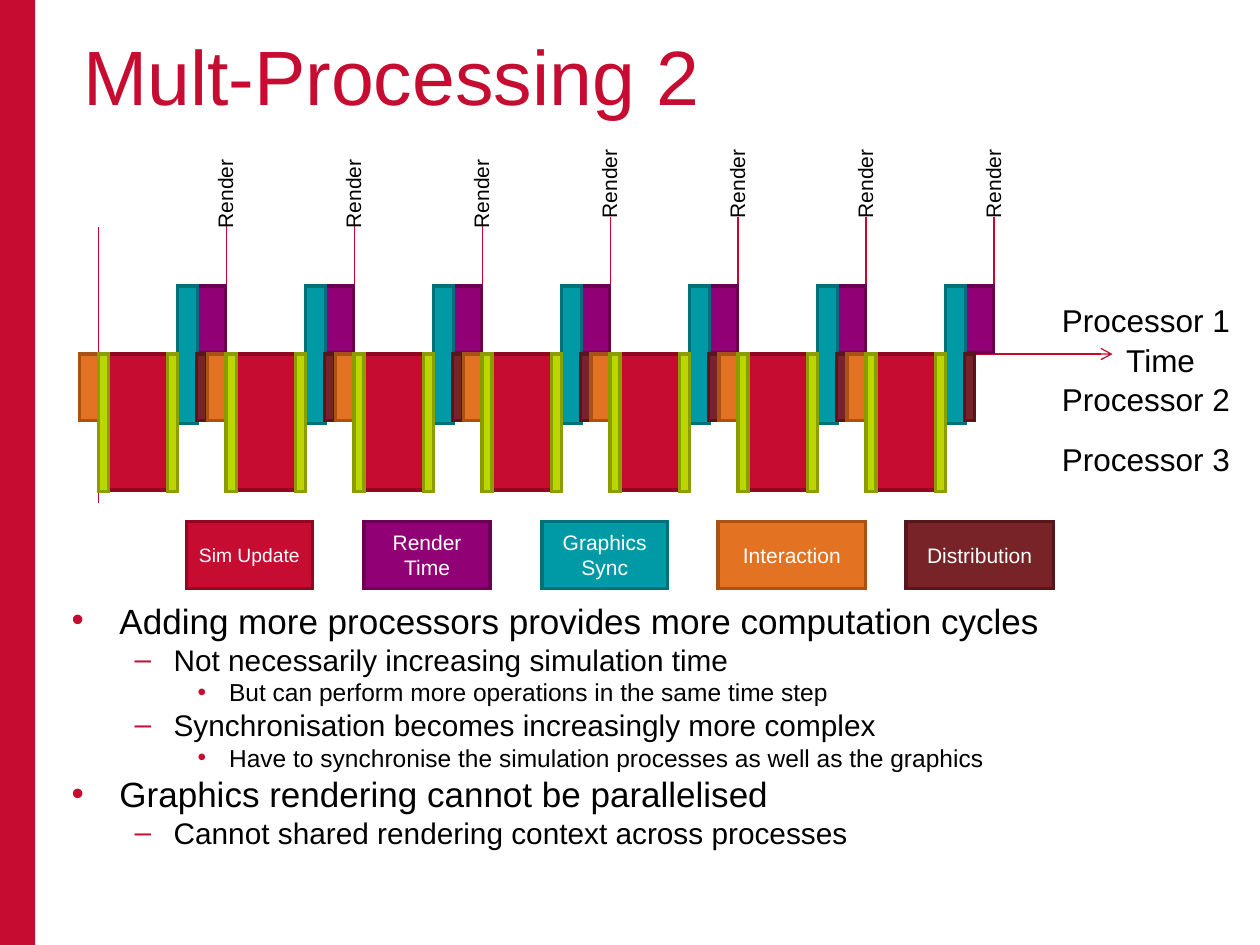
from lxml import etree
from pptx import Presentation
from pptx import util as u
from pptx.dml.color import RGBColor
from pptx.enum import shapes, text
from pptx.oxml.ns import qn

RED = "C60C30"
LINE_RED = "C6072C"
BLACK = "000000"
WHITE = "FFFFFF"
SIMULATION = (RED, "910620")
RENDER = ("920075", "6A0054")
GRAPHICS_SYNC = ("009AA6", "007079")
INTERACTION = ("E37222", "A75216")
DISTRIBUTION = ("782327", "56171A")
LOCK = ("BED600", "8B9D00")

CYCLES = 7
PITCH = 7.11 / CYCLES
START = 0.78
AXIS = 2.81

# Offset from the start of a cycle, top, width, height, colours
CYCLE_BARS = [
    (0.08, AXIS, 0.47, 1.08, SIMULATION),
    (0.78, 2.27, 0.23, 0.53, RENDER),
    (0.63, 2.27, 0.16, 1.09, GRAPHICS_SYNC),
    (-0.15, AXIS, 0.16, 0.53, INTERACTION),
    (0.78, AXIS, 0.08, 0.53, DISTRIBUTION),
    (0.55, AXIS, 0.08, 1.09, LOCK),
    (0, AXIS, 0.08, 1.09, LOCK),
]
LEGEND = [
    (1.48, 1, "Sim Update", 11, SIMULATION),
    (2.89, 1, "Render Time", 12, RENDER),
    (4.3, 1, "Graphics\nSync", 12, GRAPHICS_SYNC),
    (5.7, 1.17, "Interaction", 12, INTERACTION),
    (7.19, 1.17, "Distribution", 12, DISTRIBUTION),
]
AXIS_LABELS = [
    (8.84, 2.66, 0.8, "Time"),
    (8.33, 2.34, 1.6, "Processor 1"),
    (8.33, 2.97, 1.6, "Processor 2"),
    (8.33, 3.44, 1.6, "Processor 3"),
]
# Left margin, indent, space before, size, bullet
LEVELS = [
    (0.38, -0.38, 5, 20, "•"),
    (0.81, -0.31, 4.2, 17, "–"),
    (1.25, -0.25, 3.5, 14, "•"),
]
POINTS = [
    (0, "Adding more processors provides more computation cycles"),
    (1, "Not necessarily increasing simulation time"),
    (2, "But can perform more operations in the same time step"),
    (1, "Synchronisation becomes increasingly more complex"),
    (2, "Have to synchronise the simulation processes as well as the graphics"),
    (0, "Graphics rendering cannot be parallelised"),
    (1, "Cannot shared rendering context across processes"),
]


def rgb(value):
    """Turn a hex string into a colour."""
    return RGBColor.from_string(value)


def inches(*values):
    """Turn numbers into lengths."""
    return [u.Inches(value) for value in values]


def format_runs(paragraph, size, colour):
    """Set the font of every run of a paragraph."""
    for run in paragraph.runs:
        run.font.size = u.Pt(size)
        run.font.name = "Arial"
        run.font.color.rgb = rgb(colour)


def format_text(text_frame, size, colour, alignment=text.PP_ALIGN.LEFT):
    """Format every paragraph of a text frame."""
    for paragraph in text_frame.paragraphs:
        paragraph.alignment = alignment
        format_runs(paragraph, size, colour)


def add_box(slide, left, top, width, height, fill, outline=None):
    """Add a filled rectangle with an optional sharp-cornered outline."""
    shape = slide.shapes.add_shape(
        shapes.MSO_SHAPE.RECTANGLE, *inches(left, top, width, height))
    shape.shadow.inherit = False
    shape.fill.solid()
    shape.fill.fore_color.rgb = rgb(fill)
    if outline:
        shape.line.color.rgb = rgb(outline)
        shape.line.width = u.Pt(2)
        etree.SubElement(shape.line._get_or_add_ln(), qn("a:miter"), lim="800000")
    else:
        shape.line.fill.background()
    return shape


def add_line(slide, start, end, arrow=False):
    """Add a thin red line, with an arrowhead at its end if asked."""
    connector = slide.shapes.add_connector(
        shapes.MSO_CONNECTOR.STRAIGHT, *inches(*start, *end))
    connector.line.color.rgb = rgb(LINE_RED)
    connector.line.width = u.Pt(0.75)
    if arrow:
        line = connector.line._get_or_add_ln()
        etree.SubElement(line, qn("a:tailEnd"), type="arrow")
    etree.SubElement(connector._element.spPr, qn("a:effectLst"))


def add_label(slide, left, top, width, height, words, size, rotation=0):
    """Add a single line of black text."""
    shape = slide.shapes.add_textbox(*inches(left, top, width, height))
    shape.rotation = rotation
    shape.text_frame.word_wrap = False
    shape.text_frame.text = words
    format_text(shape.text_frame, size, BLACK)


def add_title(slide, words):
    """Place and format the title."""
    title = slide.shapes.title
    title.left, title.top, title.width, title.height = inches(0.56, 0.18, 8.94, 1.61)
    title.text_frame.text = words
    title.text_frame.vertical_anchor = text.MSO_ANCHOR.TOP
    title.text_frame.auto_size = text.MSO_AUTO_SIZE.NONE
    format_text(title.text_frame, 44, RED)


def add_points(slide):
    """Add the bulleted text."""
    shape = slide.shapes.add_textbox(*inches(0.47, 4.77, 9, 2.21))
    text_frame = shape.text_frame
    text_frame.word_wrap = True
    text_frame.text = "\n".join(words for _, words in POINTS)
    for paragraph, (level, _) in zip(text_frame.paragraphs, POINTS):
        margin, indent, space, size, bullet = LEVELS[level]
        paragraph.level = level
        paragraph.line_spacing = 0.8
        paragraph.space_before = u.Pt(space)
        properties = paragraph._p.get_or_add_pPr()
        properties.set("marL", str(u.Inches(margin)))
        properties.set("indent", str(u.Inches(indent)))
        colour = etree.SubElement(properties, qn("a:buClr"))
        etree.SubElement(colour, qn("a:srgbClr"), val=RED)
        etree.SubElement(properties, qn("a:buFont"), typeface="Arial")
        etree.SubElement(properties, qn("a:buChar"), char=bullet)
        format_runs(paragraph, size, BLACK)


def add_timeline(slide):
    """Add the axes, the render marks and the bars of every cycle."""
    add_line(slide, (START, 1.8), (START, 3.99))
    add_line(slide, (START, AXIS), (8.83, AXIS), arrow=True)
    for cycle in range(CYCLES):
        mark = START + (cycle + 1) * PITCH
        add_line(slide, (mark, 1.72), (mark, AXIS))
        label_top = 1.34 if cycle < 3 else 1.26
        add_label(slide, mark - 0.43, label_top, 0.84, 0.3, "Render", 12, 270)
    for cycle in range(CYCLES):
        for offset, top, width, height, colours in CYCLE_BARS:
            left = START + cycle * PITCH + offset
            add_box(slide, left, top, width, height, *colours)
    for left, top, width, words in AXIS_LABELS:
        add_label(slide, left, top, width, 0.4, words, 18)


def add_legend(slide):
    """Add the row of named colour boxes."""
    for left, width, words, size, colours in LEGEND:
        shape = add_box(slide, left, 4.14, width, 0.53, *colours)
        shape.text_frame.text = words
        shape.text_frame.word_wrap = True
        shape.text_frame.vertical_anchor = text.MSO_ANCHOR.MIDDLE
        format_text(shape.text_frame, size, WHITE, text.PP_ALIGN.CENTER)


def main():
    """Build the slide and save it."""
    presentation = Presentation()
    presentation.slide_width, presentation.slide_height = inches(10, 7.5)
    slide = presentation.slides.add_slide(presentation.slide_layouts[5])
    add_box(slide, 0, 0, 0.28, 7.5, RED)
    add_title(slide, "Mult-Processing 2")
    add_points(slide)
    add_timeline(slide)
    add_legend(slide)
    presentation.save("out.pptx")


if __name__ == "__main__":
    main()
